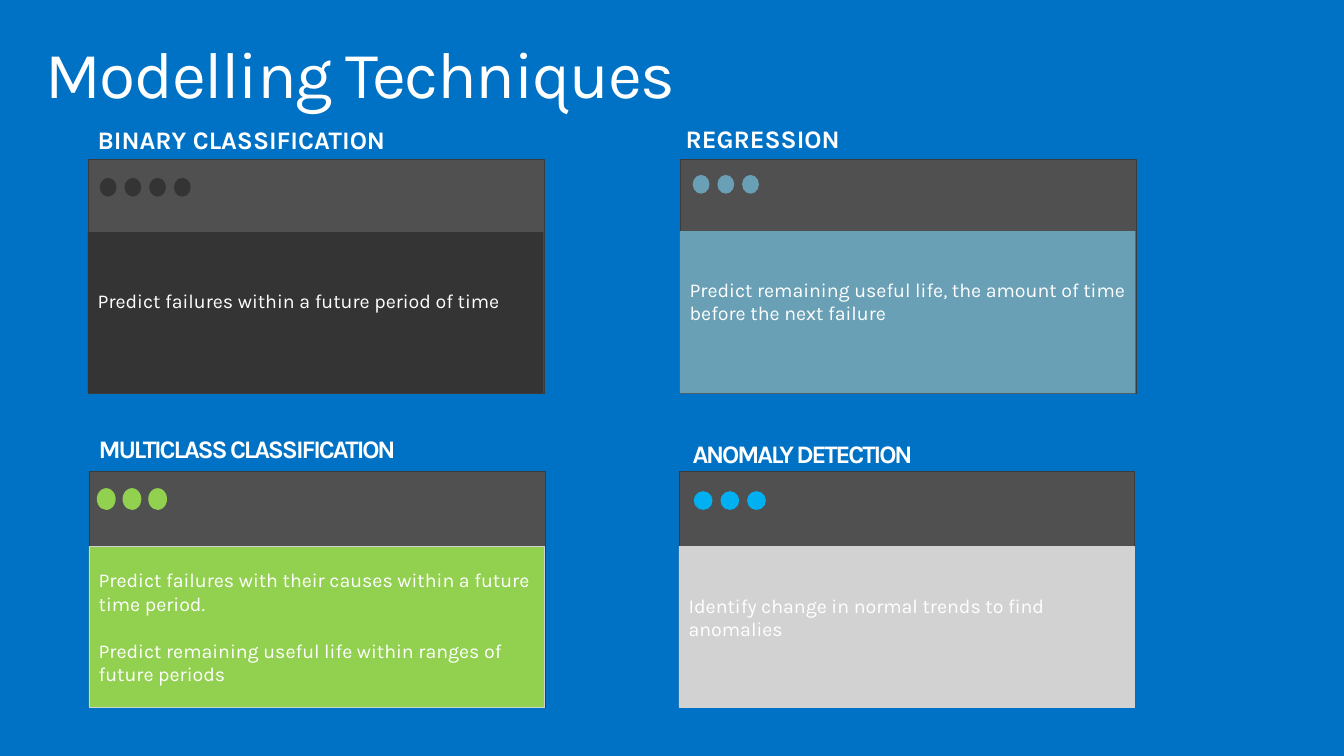
from pptx import Presentation
from pptx import util as u
from pptx.dml.color import RGBColor
from pptx.enum import shapes, text

PX = 9144  # 100 px to the inch
FONT = "Karla"
COLORS = {
    "background": "0072C6", "text": "FFFFFF", "header": "505050",
    "outline": "3C3C3C", "dark": "343434", "teal": "69A0B5",
    "green": "92D050", "grey": "D2D2D2", "cyan": "00B0F0",
}

# card: box; header: band height; heading: offset from the card;
# dots: first offset, size, pitch, count; lift: extra inset below the text
TECHNIQUES = [
    dict(card=(89, 161, 462, 237), header=74, heading=(0, -40), tracking=0,
         title="BINARY CLASSIFICATION", body="dark", edge=None, dot="dark",
         dots=(12, 19, 17, 19, 25, 4), lift=24,
         lines=["Predict failures within a future period of time"]),
    dict(card=(688, 161, 462, 237), header=73, heading=(-4, -41), tracking=0,
         title="REGRESSION", body="teal", edge=None, dot="teal",
         dots=(13, 16, 17, 19, 25, 3), lift=22,
         lines=["Predict remaining useful life, the amount of time before the next failure"]),
    dict(card=(90, 477, 462, 239), header=76, heading=(0, -44), tracking=-150,
         title="MULTICLASS CLASSIFICATION", body="green", edge="grey", dot="green",
         dots=(8, 17, 19, 22, 26, 3), lift=0,
         lines=["Predict failures with their causes within a future time period.",
                "Predict remaining useful life within ranges of future periods"]),
    dict(card=(687, 477, 461, 239), header=76, heading=(4, -38), tracking=-150,
         title="ANOMALY DETECTION", body="grey", edge="grey", dot="cyan",
         dots=(15, 20, 19, 19, 27, 3), lift=20,
         lines=["Identify change in normal trends to find anomalies"]),
]


def px(*lengths):
    return [u.Emu(length * PX) for length in lengths]


def rgb(name):
    return RGBColor.from_string(COLORS[name])


def style(paragraph, size, bold=False, tracking=0):
    paragraph.alignment = text.PP_ALIGN.LEFT
    paragraph.font.name = FONT
    paragraph.font.size = u.Pt(size)
    paragraph.font.bold = bold
    paragraph.font.color.rgb = rgb("text")
    if tracking:
        for run in paragraph.runs:
            run._r.get_or_add_rPr().set("spc", str(tracking))


def add_block(slide, kind, box, fill, edge=None):
    block = slide.shapes.add_shape(kind, *px(*box))
    block.shadow.inherit = False
    block.fill.solid()
    block.fill.fore_color.rgb = rgb(fill)
    if edge:
        block.line.color.rgb = rgb(edge)
        block.line.width = u.Pt(0.25)
    else:
        block.line.fill.background()
    return block


def add_title(slide, box):
    title = slide.shapes.title
    title.left, title.top, title.width, title.height = px(*box)
    frame = title.text_frame
    frame.text = "Modelling Techniques"
    frame.auto_size = text.MSO_AUTO_SIZE.NONE
    frame.vertical_anchor = text.MSO_ANCHOR.TOP
    frame.margin_left, frame.margin_right = px(16, 16)
    frame.margin_top, frame.margin_bottom = px(10, 10)
    frame.paragraphs[0].line_spacing = 0.9
    style(frame.paragraphs[0], 48, tracking=-100)


def add_technique(slide, technique):
    left, top, width, height = technique["card"]
    rectangle, oval = shapes.MSO_SHAPE.RECTANGLE, shapes.MSO_SHAPE.OVAL

    # Card and its coloured body
    add_block(slide, rectangle, technique["card"], "header", "outline")
    header = technique["header"]
    body = add_block(slide, rectangle, (left, top + header, 461, height - header),
                     technique["body"], technique["edge"])
    frame = body.text_frame
    frame.word_wrap = True
    frame.vertical_anchor = text.MSO_ANCHOR.MIDDLE
    frame.margin_bottom = px(5 + technique["lift"])[0]
    for index, line in enumerate(technique["lines"]):
        paragraph = frame.add_paragraph() if index else frame.paragraphs[0]
        paragraph.text = line
        if index:
            paragraph.space_before = u.Pt(17)
        style(paragraph, 14.3)

    # Heading above the card
    dx, dy = technique["heading"]
    heading = slide.shapes.add_textbox(*px(left + dx, top + dy, 350, 42))
    heading.text_frame.word_wrap = True
    heading.text_frame.text = technique["title"]
    style(heading.text_frame.paragraphs[0], 18.4, True, technique["tracking"])

    # Row of dots in the header band
    dx, dy, dot_width, dot_height, pitch, count = technique["dots"]
    for index in range(count):
        add_block(slide, oval, (left + dx + index * pitch, top + dy, dot_width, dot_height),
                  technique["dot"])


def main():
    deck = Presentation()
    deck.slide_width, deck.slide_height = px(1360, 765)
    slide = deck.slides.add_slide(deck.slide_layouts[5])
    slide.background.fill.solid()
    slide.background.fill.fore_color.rgb = rgb("background")
    add_title(slide, (30, 32, 1300, 100))
    for technique in TECHNIQUES:
        add_technique(slide, technique)
    deck.save("out.pptx")


if __name__ == "__main__":
    main()
